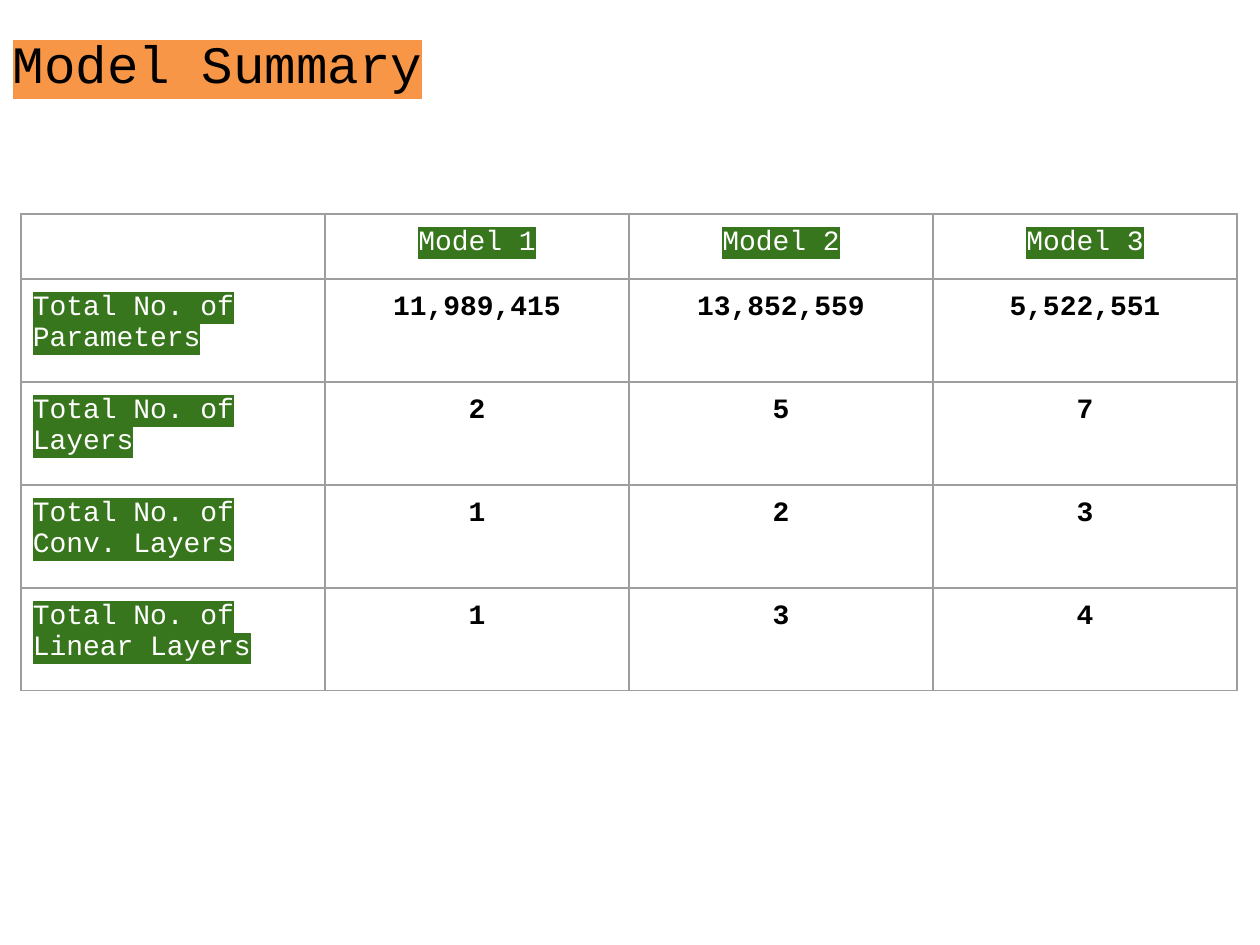
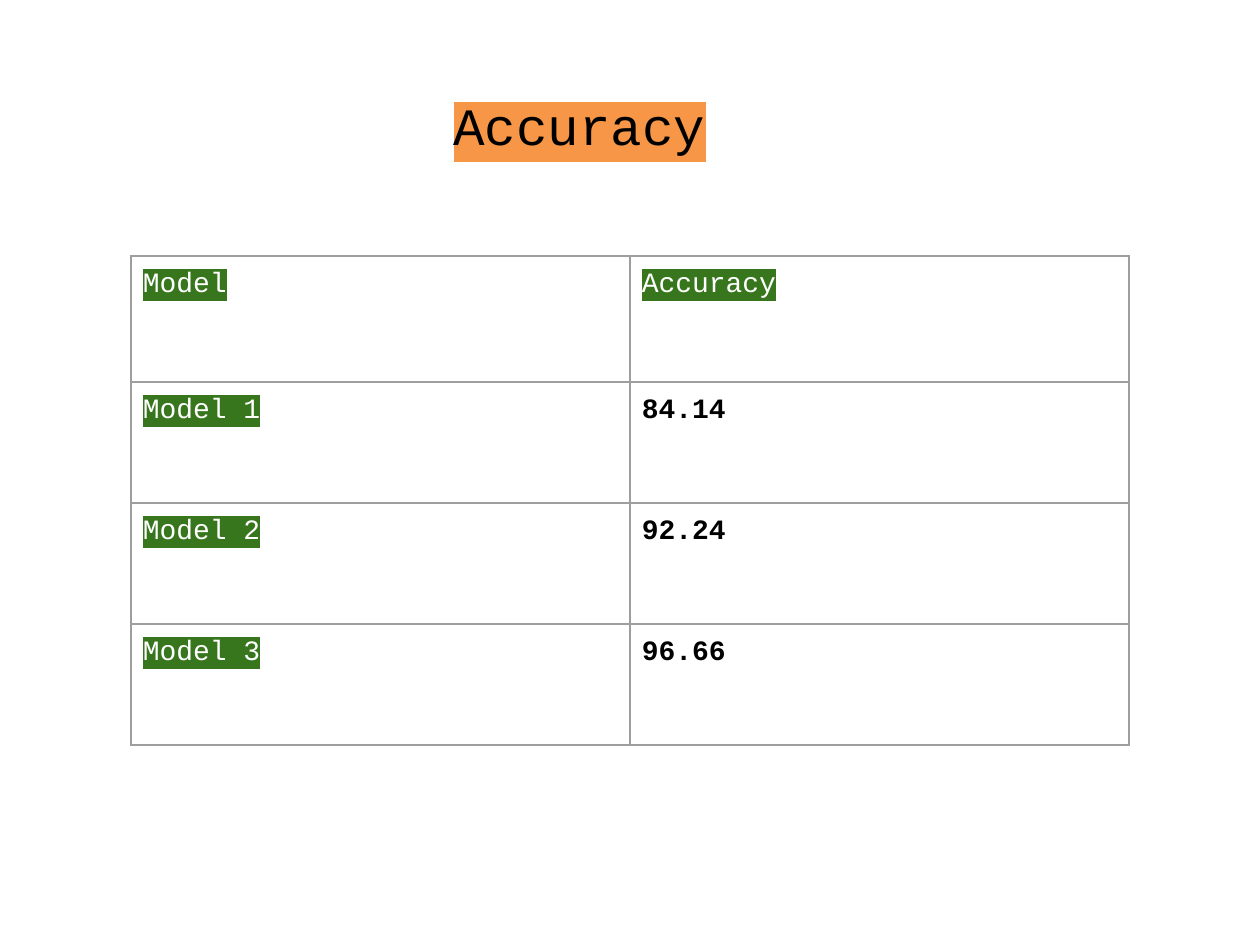
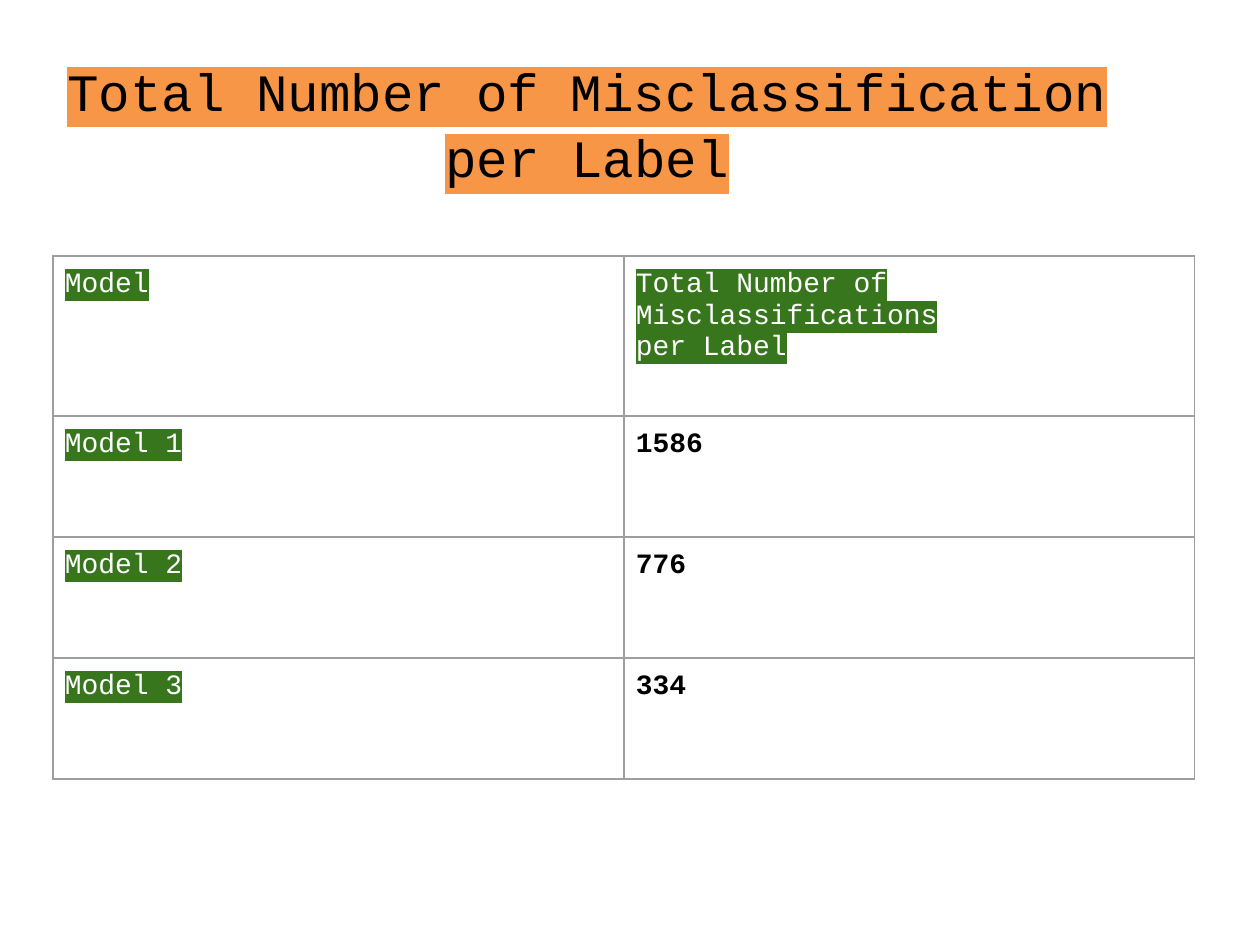
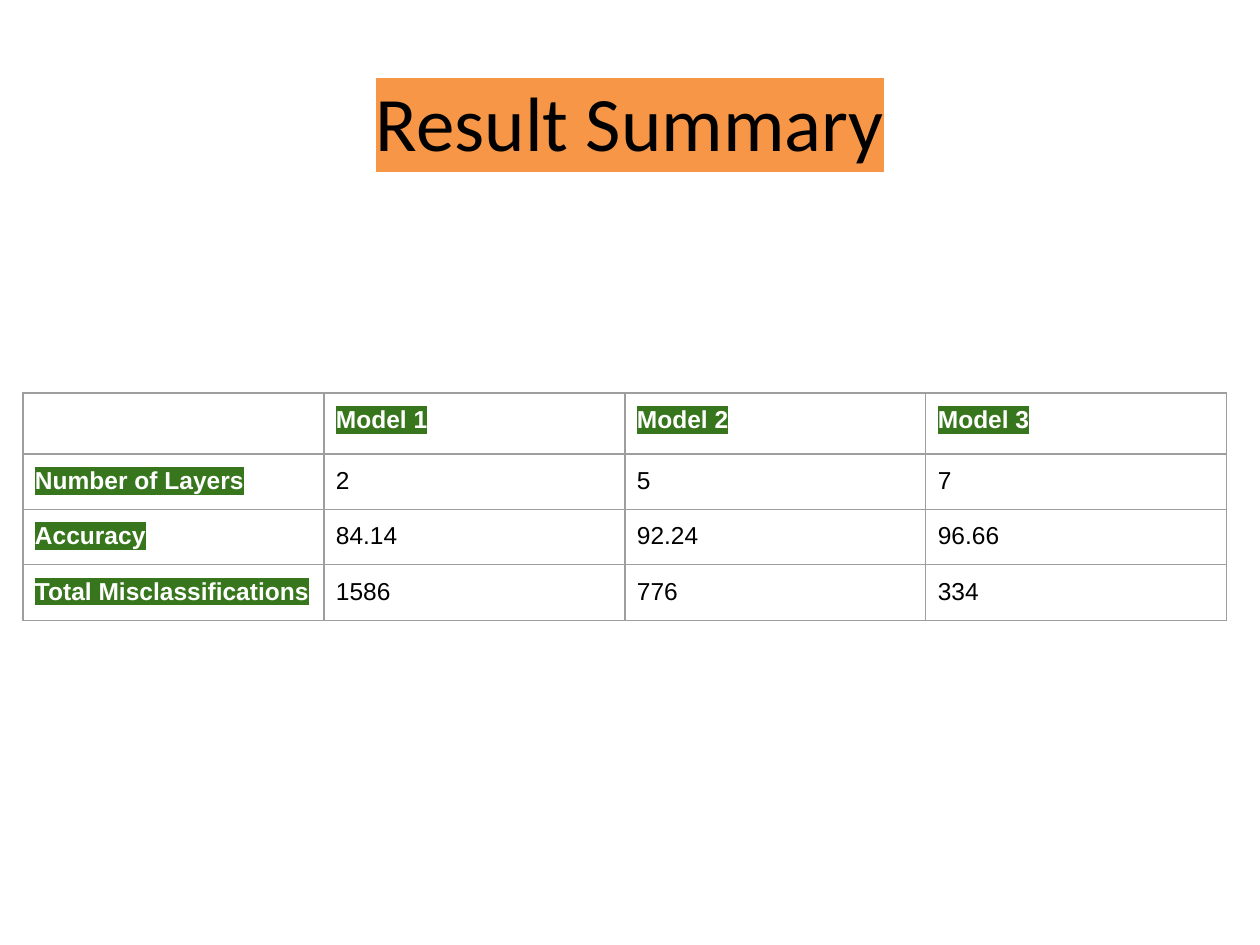
from pptx import Presentation
from pptx.dml.color import RGBColor
from pptx.enum.text import MSO_ANCHOR, PP_ALIGN
from pptx.oxml.ns import qn
from pptx.util import Emu, Pt
from lxml.etree import SubElement

PX = 914400 / 126
BLACK, WHITE = "000000", "FFFFFF"
ORANGE, GREEN, GREY = "F79646", "38761D", "9E9E9E"
MONO, SANS, BODY = "Courier New", "Calibri", "Arial"
MODELS = ["Model 1", "Model 2", "Model 3"]
LAYERS = ["2", "5", "7"]
ACCURACY = ["84.14", "92.24", "96.66"]
ERRORS = ["1586", "776", "334"]


def px(n):
    return Emu(round(n * PX))


def rgb(color):
    return RGBColor.from_string(color)


def style_run(r, font, size, color, bold=False, highlight=None):
    r.font.name, r.font.size, r.font.bold = font, Pt(size), bold
    r.font.color.rgb = rgb(color)
    if highlight:
        rPr = r.font.fill._xPr
        mark = SubElement(rPr, qn("a:highlight"))
        SubElement(mark, qn("a:srgbClr"), val=highlight)
        rPr.find(qn("a:solidFill")).addnext(mark)


def add_title(s, text, box, font=MONO, size=30, align=PP_ALIGN.CENTER, drop=7):
    """Highlighted title, set drop px below the middle of its box."""
    tf = s.shapes.add_textbox(*map(px, box)).text_frame
    tf.word_wrap = True
    tf.vertical_anchor = MSO_ANCHOR.MIDDLE
    tf.margin_left = tf.margin_right = px(13)
    tf.margin_top, tf.margin_bottom = px(6 + 2 * drop), px(6)
    tf.text = text
    for i, p in enumerate(tf.paragraphs):
        p.alignment = align
        p.space_before = Pt(2 if i else 0)
        for r in p.runs:
            style_run(r, font, size, BLACK, highlight=ORANGE)
    return tf


def add_borders(cell):
    tcPr = cell._tc.get_or_add_tcPr()
    for i, side in enumerate(("lnL", "lnR", "lnT", "lnB")):
        ln = tcPr.makeelement(qn(f"a:{side}"), {"w": str(Pt(0.75))})
        fill = SubElement(ln, qn("a:solidFill"))
        SubElement(fill, qn("a:srgbClr"), val=GREY)
        tcPr.insert(i, ln)


def fill_cell(cell, text, font, size, is_label, bold, align):
    cell.fill.background()
    add_borders(cell)
    if not text:
        return
    cell.margin_left = cell.margin_right = px(12)
    cell.margin_top = cell.margin_bottom = px(13)
    cell.text_frame.text = text
    for p in cell.text_frame.paragraphs:
        p.alignment = align
        for r in p.runs:
            style_run(r, font, size, WHITE if is_label else BLACK, bold,
                      GREEN if is_label else None)


def add_grid(s, rows, left, top, col_w, head_h, row_h, font=MONO, size=16,
             bold_labels=False, align=PP_ALIGN.LEFT):
    """Table whose first row and column are highlighted labels.

    Labels and values take opposite weights; align leaves out column one.
    """
    n_rows, n_cols = len(rows), len(rows[0])
    height = head_h + row_h * (n_rows - 1)
    table = s.shapes.add_table(n_rows, n_cols, px(left), px(top),
                               px(col_w * n_cols), px(height)).table
    table.first_row = table.horz_banding = False
    for col in table.columns:
        col.width = px(col_w)
    for i, values in enumerate(rows):
        table.rows[i].height = px(row_h if i else head_h)
        for j, text in enumerate(values):
            is_label = i == 0 or j == 0
            fill_cell(table.cell(i, j), text, font, size, is_label,
                      is_label == bold_labels, align if j else PP_ALIGN.LEFT)


def main():
    prs = Presentation()
    prs.slide_width, prs.slide_height = px(1260), px(945)
    model_summary, accuracy, errors, results = (
        prs.slides.add_slide(prs.slide_layouts[6]) for _ in range(4))

    # Model summary
    add_title(model_summary, "Model Summary", (0, 0, 1134, 111),
              align=PP_ALIGN.LEFT)
    add_grid(model_summary, [
        ["", *MODELS],
        ["Total No. of Parameters", "11,989,415", "13,852,559", "5,522,551"],
        ["Total No. of Layers", *LAYERS],
        ["Total No. of Conv. Layers", "1", "2", "3"],
        ["Total No. of Linear Layers", "1", "3", "4"],
    ], 21, 214, 304, 65, 103, align=PP_ALIGN.CENTER)

    # Accuracy per model
    title_box = (20, 64, 1134, 105)
    tf = add_title(accuracy, "Accuracy", title_box, drop=3)
    r = tf.paragraphs[0].add_run()
    r.text = " "
    style_run(r, SANS, 37.6, BLACK)
    add_grid(accuracy, [("Model", "Accuracy"), *zip(MODELS, ACCURACY)],
             131, 256, 499, 126, 121)

    # Misclassifications per model
    add_title(errors, "Total Number of Misclassification\nper Label", title_box)
    heading = "Total Number of Misclassifications\nper Label"
    add_grid(errors, [("Model", heading), *zip(MODELS, ERRORS)],
             53, 256, 571, 160, 121)

    # Result summary
    add_title(results, "Result Summary", (63, 38, 1134, 158), SANS, 44, drop=4)
    add_grid(results, [
        ["", *MODELS],
        ["Number of Layers", *LAYERS],
        ["Accuracy", *ACCURACY],
        ["Total Misclassifications", *ERRORS],
    ], 23, 393, 301, 61, 53, BODY, 14, bold_labels=True)

    prs.save("out.pptx")


if __name__ == "__main__":
    main()
